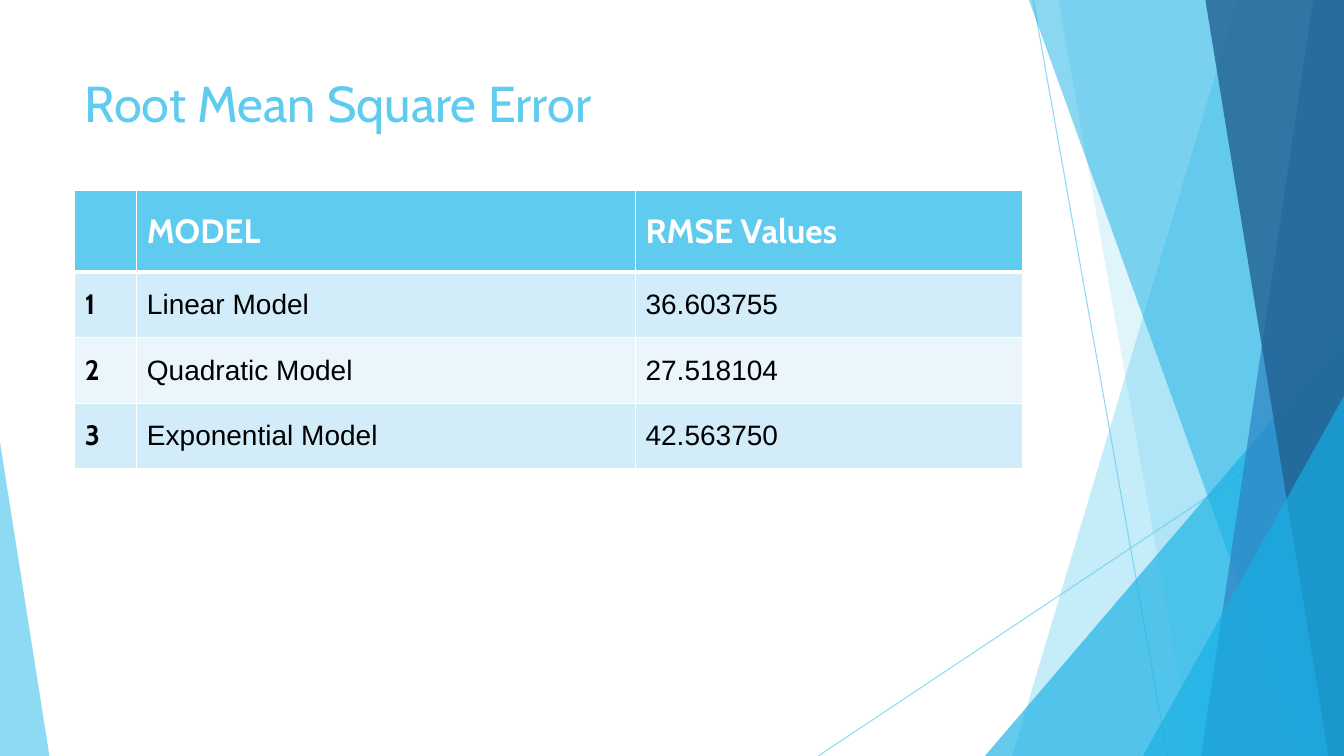
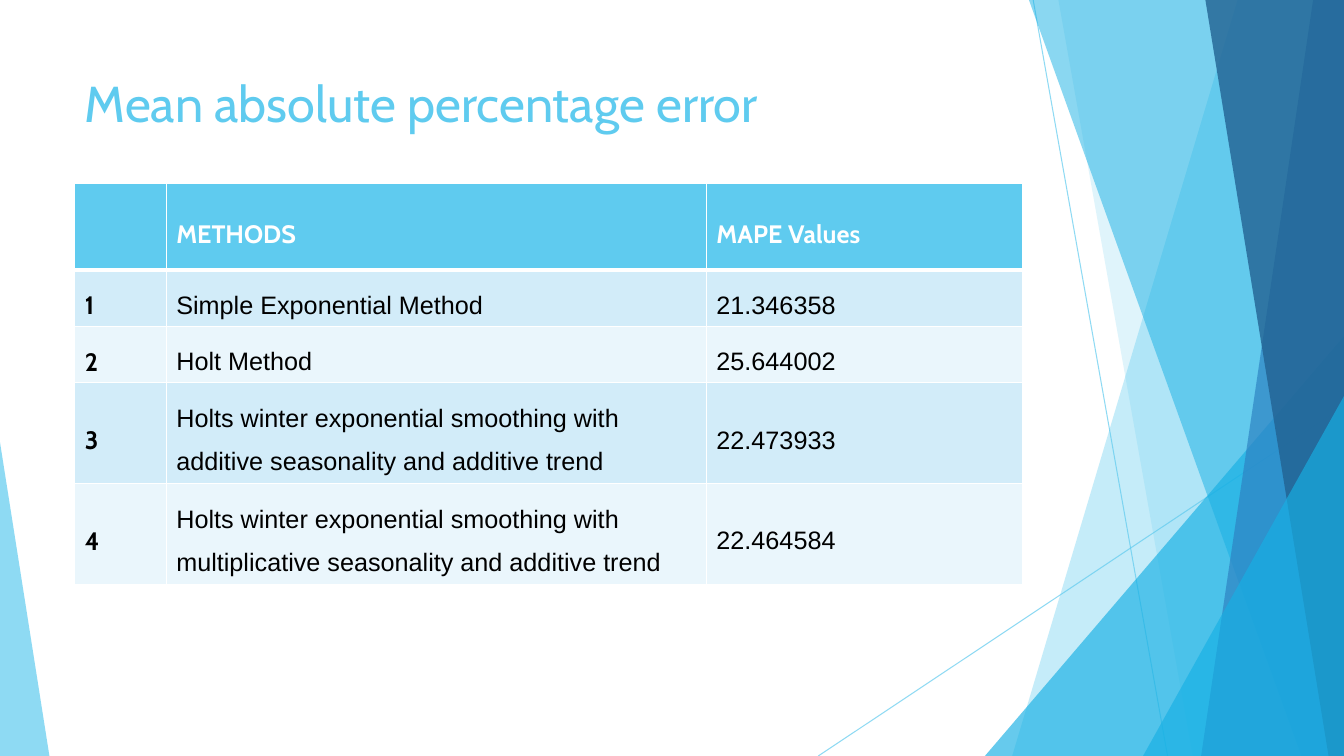
from pptx import Presentation
from pptx.dml.color import RGBColor as Rgb
from pptx.enum.shapes import MSO_CONNECTOR as Connector, MSO_SHAPE as Shape
from pptx.enum.text import MSO_ANCHOR as Anchor
from pptx.oxml.ns import qn
from pptx.util import Pt
from lxml.etree import SubElement

WIDTH, HEIGHT = 960, 540
LEFT, CONTENT_WIDTH = 53.5, 676.8

theme = {
    "sky": Rgb.from_string("5FCBEF"),
    "cyan": Rgb.from_string("17B0E4"),
    "blue": Rgb.from_string("2E83C3"),
    "navy": Rgb.from_string("226292"),
    "white": Rgb.from_string("FFFFFF"),
    "black": Rgb.from_string("000000"),
    "bands": [Rgb.from_string("D2ECF9"), Rgb.from_string("EAF6FC")],
    "title": {"name": "Cabin", "size": Pt(36), "bold": False},
    "label": {"name": "Cabin", "bold": True},
    "value": {"name": "Arial", "bold": False},
}

rays = [((738, 0), (834, 540)), ((960, 290), (584.5, 540))]
facets = [
    ("band", (884, 723), "sky", 36),
    ("band", (756, 852), "sky", 20),
    ("triangle", (703.5, 240, 256.5, 300, 1), "cyan", 66),
    ("band", (735, 929.5), "cyan", 50),
    ("band", (938, 858), "blue", 70),
    ("band", (861, 949), "navy", 80),
    ("triangle", (816.5, 283, 143.5, 257, 1), "cyan", 66),
    ("triangle", (0, 316, 35.3, 224, 0), "sky", 70),
]

pages = [
    {
        "title": "Root Mean Square Error",
        "top": 136,
        "columns": [44.3, 356.2, 276.3],
        "heights": [58.4, 46.8, 46.8, 46.8],
        "sizes": (24, 20),
        "spacing": 1.0,
        "rows": [
            ("", "MODEL", "RMSE Values"),
            ("1", "Linear Model", "36.603755"),
            ("2", "Quadratic Model", "27.518104"),
            ("3", "Exponential Model", "42.563750"),
        ],
    },
    {
        "title": "Mean absolute percentage error",
        "top": 131.2,
        "columns": [65.3, 385.8, 225.7],
        "heights": [61.7, 40.3, 40.3, 67.5, 67.5],
        "sizes": (18, 18),
        "spacing": 1.5,
        "rows": [
            ("", "METHODS", "MAPE Values"),
            ("1", "Simple Exponential Method", "21.346358"),
            ("2", "Holt Method", "25.644002"),
            ("3", "Holts winter exponential smoothing with additive seasonality "
                  "and additive trend", "22.473933"),
            ("4", "Holts winter exponential smoothing with multiplicative seasonality "
                  "and additive trend", "22.464584"),
        ],
    },
]


def set_opacity(element, percent):
    for color in element.iter(qn("a:srgbClr")):
        SubElement(color, qn("a:alpha"), val=str(percent * 1000))


def write(para, text, style, color):
    span = para.add_run()
    span.text = text
    for name, value in style.items():
        setattr(span.font, name, value)
    span.font.color.rgb = color


deck = Presentation()
deck.slide_width, deck.slide_height = Pt(WIDTH), Pt(HEIGHT)

for page in pages:
    slide = deck.slides.add_slide(deck.slide_layouts[6])
    shapes = slide.shapes

    for start, end in rays:
        ray = shapes.add_connector(Connector.STRAIGHT, *map(Pt, start + end))
        ray.line.color.rgb = theme["sky"]
        ray.line.width = Pt(0.75)
        properties = ray._element.spPr
        set_opacity(properties, 70)
        SubElement(properties, qn("a:effectLst"))

    for kind, geometry, color, opacity in facets:
        if kind == "band":
            upper, lower = geometry
            builder = shapes.build_freeform(Pt(upper), 0)
            corners = [(WIDTH, 0), (WIDTH, HEIGHT), (lower, HEIGHT)]
            builder.add_line_segments([(Pt(x), Pt(y)) for x, y in corners], close=True)
            facet = builder.convert_to_shape()
        else:
            *bounds, apex = geometry
            facet = shapes.add_shape(Shape.ISOSCELES_TRIANGLE, *map(Pt, bounds))
            facet.adjustments[0] = apex
        facet.shadow.inherit = False
        facet.fill.solid()
        facet.fill.fore_color.rgb = theme[color]
        facet.line.fill.background()
        set_opacity(facet._element.spPr, opacity)

    box = shapes.add_textbox(Pt(LEFT), Pt(48.2), Pt(CONTENT_WIDTH), Pt(60))
    box.text_frame.word_wrap = True
    write(box.text_frame.paragraphs[0], page["title"], theme["title"], theme["sky"])

    rows, columns, heights = page["rows"], page["columns"], page["heights"]
    table = shapes.add_table(
        len(rows), len(columns), Pt(LEFT), Pt(page["top"]),
        Pt(CONTENT_WIDTH), Pt(sum(heights)),
    ).table
    for column, width in zip(table.columns, columns):
        column.width = Pt(width)

    for row_index, (row, height) in enumerate(zip(rows, heights)):
        table.rows[row_index].height = Pt(height)
        header = row_index == 0
        edges = {
            "lnL": 1,
            "lnR": 1,
            "lnT": 3 if row_index == 1 else 1,
            "lnB": 3 if header else 1,
        }
        for column_index, text in enumerate(row):
            cell = table.cell(row_index, column_index)
            cell.vertical_anchor = Anchor.MIDDLE
            properties = cell._tc.get_or_add_tcPr()
            for edge, weight in edges.items():
                border = SubElement(properties, qn("a:" + edge), w=str(Pt(weight)))
                paint = SubElement(border, qn("a:solidFill"))
                SubElement(paint, qn("a:srgbClr"), val=str(theme["white"]))
            cell.fill.solid()
            cell.fill.fore_color.rgb = (
                theme["sky"] if header else theme["bands"][(row_index - 1) % 2]
            )
            if text:
                para = cell.text_frame.paragraphs[0]
                para.line_spacing = page["spacing"]
                style = theme["label" if header or column_index == 0 else "value"]
                size = Pt(page["sizes"][0 if header else 1])
                color = theme["white" if header else "black"]
                write(para, text, {**style, "size": size}, color)

deck.save("out.pptx")
